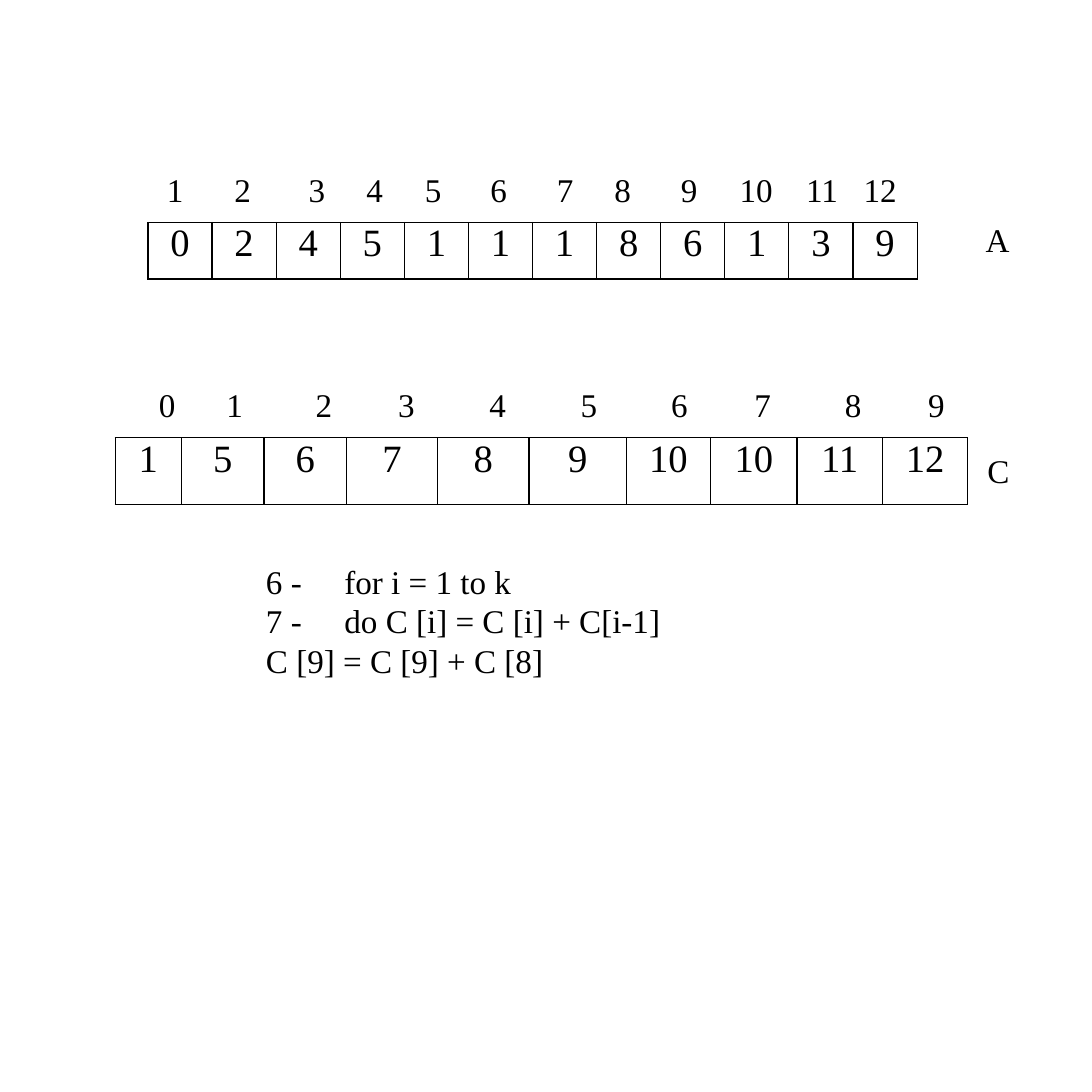
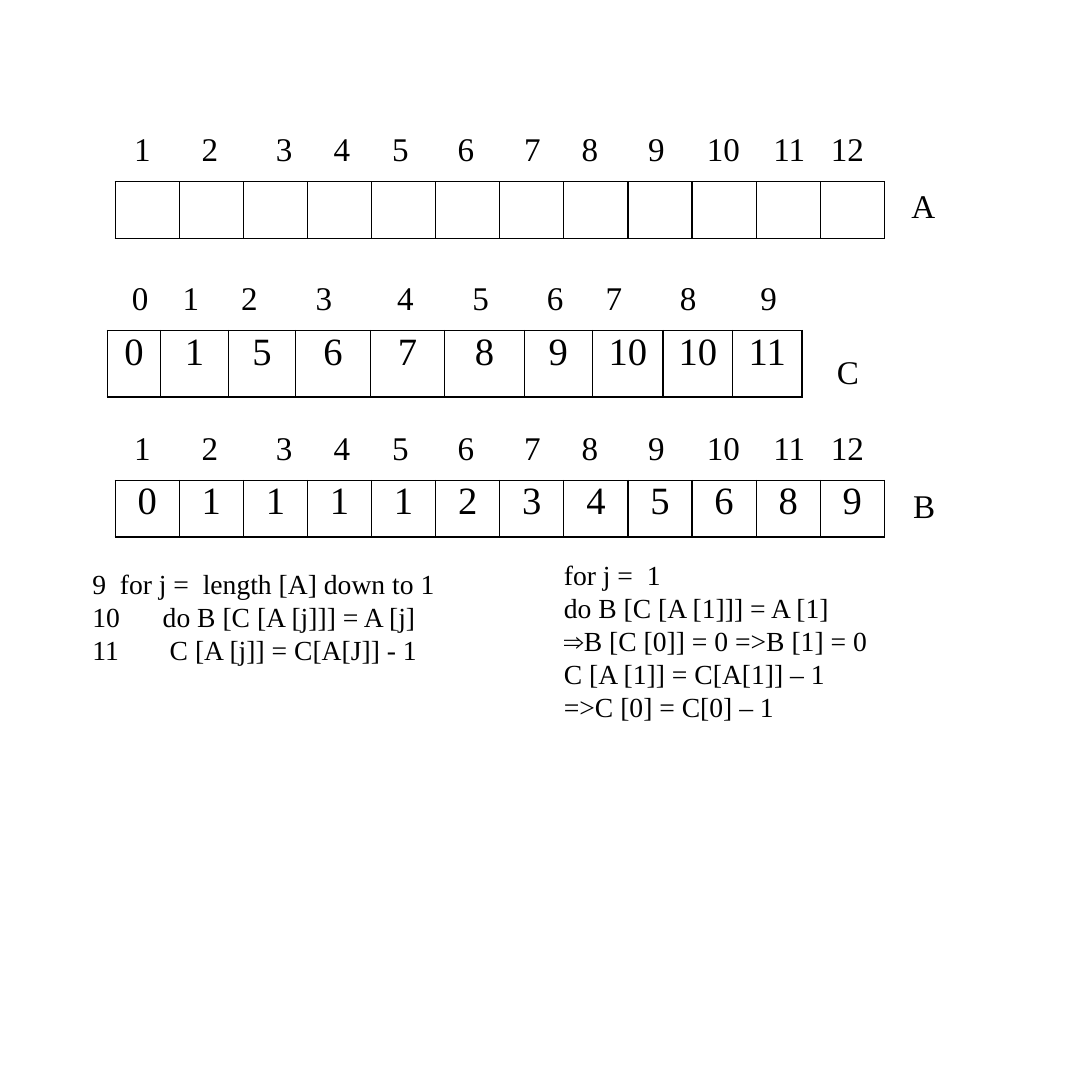
from dataclasses import dataclass

from lxml import etree
from pptx import Presentation
from pptx.dml.color import RGBColor
from pptx.enum.text import MSO_ANCHOR, MSO_AUTO_SIZE, PP_ALIGN
from pptx.oxml.ns import qn
from pptx.util import Inches, Pt


@dataclass(frozen=True)
class Theme:
    ink: str = "000000"
    paper: str = "FFFFFF"
    font: str = "Times New Roman"
    symbol_font: str = "Arial"
    cell: int = 28
    label: int = 24
    code: int = 20
    leading: float = 1.2
    border: float = 1


THEME = Theme()

# Index row over a twelve-cell array
INDEX_12 = "\t".join(str(i) for i in range(1, 13))
TABS_12 = (0.68, 1.43, 2.01, 2.6, 3.26, 3.93, 4.51, 5.18, 5.77, 6.44, 7.02)
COLS_12 = [7.75 / 12] * 12


def set_all(obj, values):
    for name, value in values.items():
        setattr(obj, name, value)


class Deck:
    """Holds the style and the slide being built."""

    def __init__(self, theme):
        self.theme = theme
        self.prs = Presentation()
        set_all(self.prs, {"slide_width": Inches(11), "slide_height": Inches(11)})
        self.s = None

    def slide(self):
        self.s = self.prs.slides.add_slide(self.prs.slide_layouts[5])
        fill = self.s.background.fill
        fill.solid()
        fill.fore_color.rgb = RGBColor.from_string(self.theme.paper)

    def run(self, p, text, size, font=None):
        r = p.add_run()
        r.text = text
        set_all(r.font, {"name": font or self.theme.font, "size": Pt(size), "bold": False})
        r.font.color.rgb = RGBColor.from_string(self.theme.ink)

    def paragraph(self, p, text, size, tabs=(), before=0, align=PP_ALIGN.LEFT, indent=0):
        set_all(p, {"alignment": align, "space_before": Pt(before),
                    "line_spacing": Pt(size * self.theme.leading)})
        pPr = p._p.get_or_add_pPr()
        if indent:
            pPr.set("indent", str(Inches(indent)))
        if tabs:
            tab_list = etree.SubElement(pPr, qn("a:tabLst"))
            for pos in tabs:
                etree.SubElement(tab_list, qn("a:tab"), pos=str(Inches(pos)), algn="l")
        # The arrow symbol needs its own font
        if text.startswith("⇒"):
            self.run(p, "⇒", size, self.theme.symbol_font)
            text = text[1:]
        self.run(p, text, size)

    def fill_frame(self, tf, lines, size):
        """Each line is a dict of paragraph() arguments."""
        set_all(tf, {"word_wrap": True, "auto_size": MSO_AUTO_SIZE.NONE,
                     "vertical_anchor": MSO_ANCHOR.TOP, "margin_left": Inches(0.01),
                     "margin_right": 0, "margin_top": 0, "margin_bottom": 0})
        for i, line in enumerate(lines):
            p = tf.add_paragraph() if i else tf.paragraphs[0]
            self.paragraph(p, size=size, **line)

    def title(self, left, top):
        sp = self.s.shapes.title
        set_all(sp, {"left": Inches(left), "top": Inches(top),
                     "width": Inches(7.4), "height": Inches(0.41)})
        self.fill_frame(sp.text_frame, [{"text": INDEX_12, "tabs": TABS_12}], self.theme.label)

    def text(self, left, top, width, height, lines, size):
        sp = self.s.shapes.add_textbox(*map(Inches, (left, top, width, height)))
        self.fill_frame(sp.text_frame, lines, size)

    def label(self, left, top, text, width=0.19, tabs=()):
        self.text(left, top, width, 0.41, [{"text": text, "tabs": tabs}], self.theme.label)

    def array(self, left, top, height, widths, values):
        frame = self.s.shapes.add_table(
            1, len(widths), *map(Inches, (left, top, sum(widths), height)))
        table = frame.table
        set_all(table, {"first_row": False, "horz_banding": False})
        table.rows[0].height = Inches(height)
        for column, width in zip(table.columns, widths):
            column.width = Inches(width)
        for cell, value in zip(table.iter_cells(), values):
            set_all(cell, {"margin_left": 0, "margin_right": 0,
                           "margin_top": 0, "margin_bottom": 0})
            self.borders(cell)
            cell.fill.background()
            if value != "":
                p = cell.text_frame.paragraphs[0]
                p.alignment = PP_ALIGN.CENTER
                self.run(p, str(value), self.theme.cell)

    def borders(self, cell):
        tcPr = cell._tc.get_or_add_tcPr()
        for side in ("lnL", "lnR", "lnT", "lnB"):
            ln = etree.SubElement(tcPr, qn(f"a:{side}"), w=str(Pt(self.theme.border)))
            solid = etree.SubElement(ln, qn("a:solidFill"))
            etree.SubElement(solid, qn("a:srgbClr"), val=self.theme.ink)


def running_totals(deck):
    deck.slide()
    # Input array A
    deck.array(1.49, 2.24, 0.57, COLS_12, [0, 2, 4, 5, 1, 1, 1, 8, 6, 1, 3, 9])
    deck.title(1.67, 1.71)
    deck.label(9.92, 2.21, "A", width=0.27)
    # Count array C
    deck.array(1.16, 4.41, 0.67,
               [0.67, 0.83, 0.83, 0.92, 0.92, 0.98, 0.85, 0.87, 0.86, 0.86],
               [1, 5, 6, 7, 8, 9, 10, 10, 11, 12])
    deck.label(1.59, 3.87, "0\t1", width=0.9, tabs=(0.68,))
    for i, left in enumerate((3.17, 4, 4.92, 5.84, 6.75, 7.59, 8.5, 9.34), start=2):
        deck.label(left, 3.87, str(i))
    # Name of C and the loop
    deck.text(2.67, 4.54, 7.5, 2.29, [
        {"text": "C", "align": PP_ALIGN.RIGHT},
        {"text": "6 -\tfor i = 1 to k", "tabs": (0.79,), "before": 51.3},
        {"text": "7 -\tdo C [i] = C [i] + C[i-1]", "tabs": (0.79,)},
        {"text": "C [9] = C [9] + C [8]"},
    ], THEME.label)


def placing_values(deck):
    deck.slide()
    # Loop and its first step
    deck.text(0.92, 5.71, 3.6, 0.35, [{"text": "9  for j =  length [A] down to 1"}], THEME.code)
    deck.text(0.92, 6.04, 3.6, 0.68, [
        {"text": "10\tdo B [C [A [j]]] = A [j]", "tabs": (0.71,)},
        {"text": "11\tC [A [j]] = C[A[J]] - 1", "tabs": (0.78,)},
    ], THEME.code)
    first_step = ("for j =  1", "do B [C [A [1]]] = A [1]", "⇒B [C [0]] = 0 =>B [1] = 0",
                  "C [A [1]] = C[A[1]] – 1", "=>C [0] = C[0] – 1")
    deck.text(5.67, 5.62, 3.15, 1.68, [{"text": t} for t in first_step], THEME.code)
    # Arrays A, B and C
    deck.array(1.16, 1.83, 0.57, COLS_12, [""] * 12)
    deck.title(1.34, 1.29)
    deck.label(9.17, 1.87, "A", width=0.27)
    deck.array(1.16, 4.84, 0.57, COLS_12, [0, 1, 1, 1, 1, 2, 3, 4, 5, 6, 8, 9])
    deck.array(1.08, 3.33, 0.67,
               [0.54, 0.68, 0.68, 0.75, 0.75, 0.8, 0.69, 0.71, 0.7, 0.7],
               [0, 1, 5, 6, 7, 8, 9, 10, 10, 11])
    # Names of C and B around the index row of B
    deck.text(1.34, 3.54, 8.08, 1.75, [
        {"text": "C", "indent": 7.08},
        {"text": INDEX_12, "tabs": TABS_12, "before": 26.3},
        {"text": "B", "align": PP_ALIGN.RIGHT, "before": 13.2},
    ], THEME.label)
    # Index row of C
    deck.label(1.32, 2.79, "0\t1\t2\t3", width=2.1, tabs=(0.51, 1.1, 1.85))
    deck.label(3.99, 2.79, "4\t5\t6\t7\t8", width=3.1, tabs=(0.76, 1.51, 2.1, 2.85))
    deck.label(7.65, 2.79, "9")


def main():
    deck = Deck(THEME)
    running_totals(deck)
    placing_values(deck)
    deck.prs.save("out.pptx")


if __name__ == "__main__":
    main()
